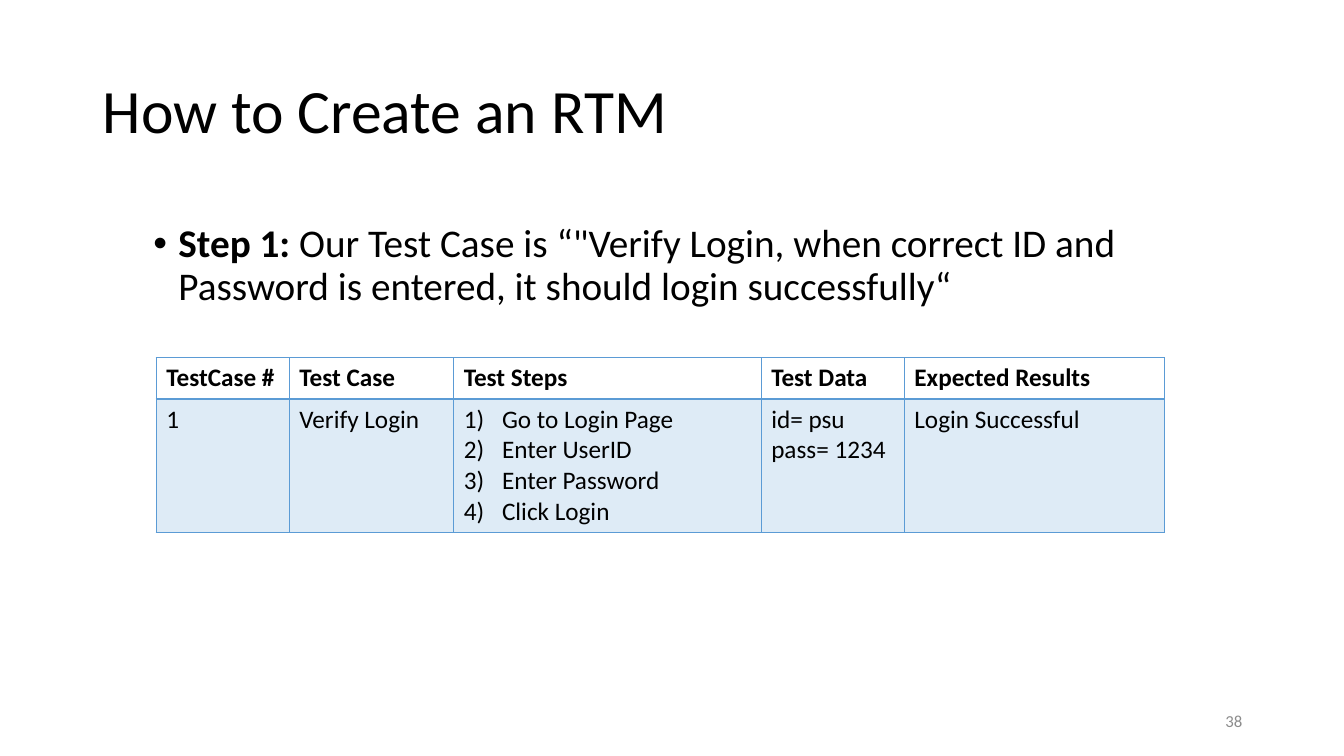
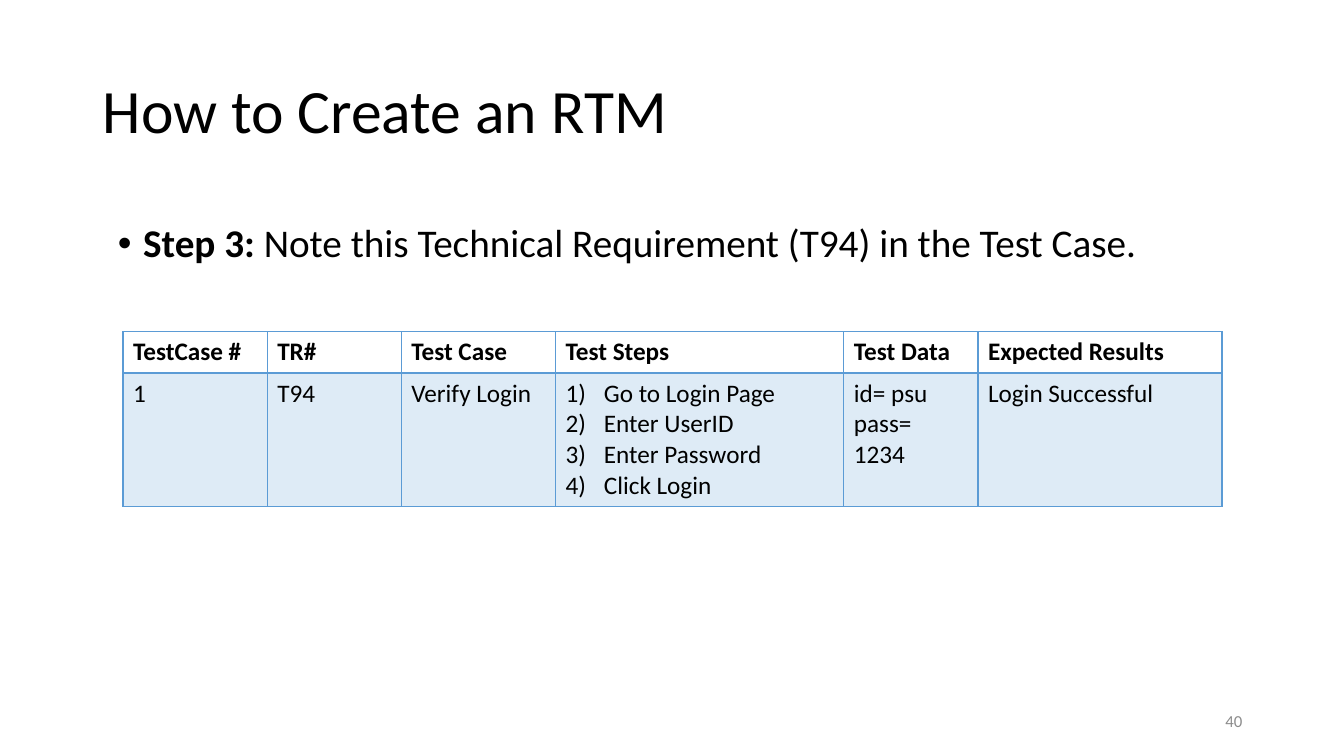
from lxml import etree
from pptx import Presentation
from pptx.dml.color import RGBColor
from pptx.enum.text import MSO_ANCHOR, MSO_AUTO_SIZE, PP_ALIGN
from pptx.oxml.ns import qn
from pptx.util import Inches, Pt

LEFT, RIGHT = PP_ALIGN.LEFT, PP_ALIGN.RIGHT
MIDDLE = MSO_ANCHOR.MIDDLE
NO_FIT = MSO_AUTO_SIZE.NONE
FACE = "Calibri"
BLACK, GREY, BLUE = "000000", "8C8C8C", "5B9BD5"
ROWS = [0.41, 1.3]
STEPS = ["Go to Login Page", "Enter UserID", "Enter Password", "Click Login"]
DATA = ["id= psu", "pass= 1234"]


def color(code):
    return RGBColor.from_string(code)


def style(font, size, code=BLACK, bold=False):
    font.name = FACE
    font.size = Pt(size)
    font.color.rgb = color(code)
    font.bold = bold


def add(parent, tag, **attrs):
    return etree.SubElement(parent, qn(tag), attrs)


def indent(par, width):
    props = par._p.get_or_add_pPr()
    props.set("marL", str(Inches(width)))
    props.set("indent", str(-Inches(width)))
    return props


class Deck:
    def __init__(self):
        self.file = Presentation()
        self.file.slide_width = Inches(13.33)
        self.file.slide_height = Inches(7.5)
        self.slide = None

    def start(self, title, number):
        self.slide = self.file.slides.add_slide(self.file.slide_layouts[1])
        frame = self.place(self.slide.shapes.title, 0.92, 0.4, 11.5, 1.45)
        frame.vertical_anchor = MIDDLE
        frame.text = title
        par = frame.paragraphs[0]
        par.alignment = LEFT
        par.line_spacing = 0.9
        style(par.runs[0].font, 44)
        self.number(number)

    def place(self, shape, left, top, width, height):
        shape.left, shape.top = Inches(left), Inches(top)
        shape.width, shape.height = Inches(width), Inches(height)
        frame = shape.text_frame
        frame.word_wrap = True
        frame.auto_size = NO_FIT
        return frame

    def number(self, number):
        box = self.slide.shapes.add_textbox(0, 0, 0, 0)
        frame = self.place(box, 9.42, 6.95, 3, 0.4)
        frame.vertical_anchor = MIDDLE
        frame.text = str(number)
        par = frame.paragraphs[0]
        par.alignment = RIGHT
        style(par.runs[0].font, 12, GREY)

    def bullet(self, left, width, label, text):
        body = self.slide.placeholders[1]
        par = self.place(body, left, 2.17, width, 4.17).paragraphs[0]
        props = indent(par, 0.25)
        add(props, "a:buFont", typeface="Arial")
        add(props, "a:buChar", char="•")
        par.line_spacing = 0.9
        par.space_before = Pt(0)
        for part, bold in [(label, True), (text, False)]:
            run = par.add_run()
            run.text = part
            style(run.font, 28, bold=bold)

    def border(self, cell, head):
        props = cell._tc.get_or_add_tcPr()
        for side in "LRTB":
            thick = side == ("B" if head else "T")
            line = add(props, f"a:ln{side}", w=str(Pt(2 if thick else 1)))
            fill = add(line, "a:solidFill")
            add(fill, "a:srgbClr", val=BLUE)

    def fill(self, cell, head):
        if head:
            cell.fill.background()
            return
        cell.fill.solid()
        cell.fill.fore_color.rgb = color(BLUE)
        tint = cell._tc.tcPr.find(qn("a:solidFill")).find(qn("a:srgbClr"))
        add(tint, "a:alpha", val="20000")

    def cell(self, cell, value, head):
        cell.text = value if isinstance(value, str) else "\n".join(value)
        for par in cell.text_frame.paragraphs:
            if value is STEPS:
                props = indent(par, 0.38)
                add(props, "a:buFont", typeface=FACE)
                add(props, "a:buAutoNum", type="arabicParenR")
            style(par.runs[0].font, 18, bold=head)
        self.border(cell, head)
        self.fill(cell, head)

    def table(self, left, top, cols):
        frame = self.slide.shapes.add_table(
            len(ROWS), len(cols), Inches(left), Inches(top),
            Inches(sum(width for width, *_ in cols)), Inches(sum(ROWS)))
        table = frame.table
        table.first_row = table.horz_banding = False
        for row, height in zip(table.rows, ROWS):
            row.height = Inches(height)
        for col, (width, *values) in enumerate(cols):
            table.columns[col].width = Inches(width)
            for row, value in enumerate(values):
                self.cell(table.cell(row, col), value, row == 0)


def main():
    title = "How to Create an RTM"
    deck = Deck()

    deck.start(title, 38)
    deck.bullet(1.42, 10.5, "Step 1: ",
                "Our Test Case is “\"Verify Login, when correct ID and "
                "Password is entered, it should login successfully“")
    deck.table(1.55, 3.55, [
        (1.32, "TestCase #", "1"),
        (1.63, "Test Case", "Verify Login"),
        (3.05, "Test Steps", STEPS),
        (1.42, "Test Data", DATA),
        (2.58, "Expected Results", "Login Successful"),
    ])

    deck.start(title, 40)
    deck.bullet(1.07, 10.85, "Step 3: ",
                "Note this Technical Requirement (T94) in the Test Case.")
    deck.table(1.22, 3.29, [
        (1.43, "TestCase #", "1"),
        (1.33, "TR#", "T94"),
        (1.53, "Test Case", "Verify Login"),
        (2.86, "Test Steps", STEPS),
        (1.33, "Test Data", DATA),
        (2.42, "Expected Results", "Login Successful"),
    ])

    deck.file.save("out.pptx")


if __name__ == "__main__":
    main()
